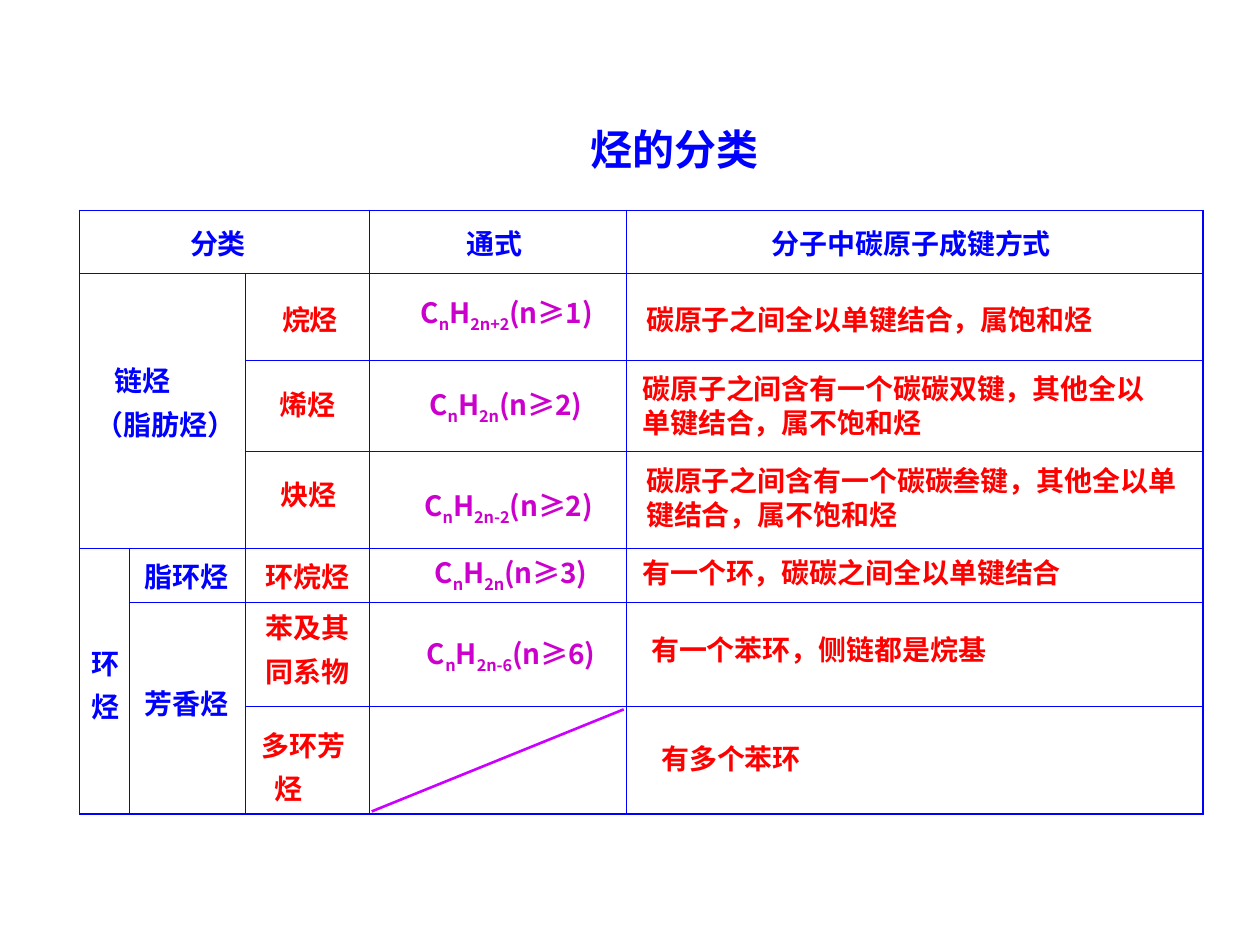
from itertools import accumulate

from lxml import etree
from pptx import Presentation
from pptx.dml.color import RGBColor
from pptx.enum.shapes import MSO_CONNECTOR
from pptx.enum.text import MSO_ANCHOR, MSO_AUTO_SIZE, PP_ALIGN
from pptx.oxml.ns import qn
from pptx.util import Inches, Pt

STRAIGHT = MSO_CONNECTOR.STRAIGHT
MIDDLE = MSO_ANCHOR.MIDDLE
GROW = MSO_AUTO_SIZE.SHAPE_TO_FIT_TEXT
LEFT, CENTER = PP_ALIGN.LEFT, PP_ALIGN.CENTER

BLUE = RGBColor(0x00, 0x00, 0xFF)
RED = RGBColor(0xFF, 0x00, 0x00)
PURPLE = RGBColor(0xCC, 0x00, 0xCC)
VIOLET = RGBColor(0xCC, 0x00, 0xFF)
FONT = "Noto Sans CJK SC"
THICK, THIN = 1.08, 0.45

# Table grid, in inches
TABLE_LEFT, TABLE_TOP = 0.63, 1.67
COLUMNS = [0.4, 0.92, 0.98, 2.04, 4.58]
ROWS = [0.5, 0.69, 0.72, 0.77, 0.43, 0.83, 0.85]
X = list(accumulate(COLUMNS, initial=TABLE_LEFT))
Y = list(accumulate(ROWS, initial=TABLE_TOP))
SPANS = {(0, 0): (1, 3), (1, 0): (3, 2), (4, 0): (3, 1), (5, 1): (2, 1)}

TITLE = "烃的分类"
# column: text, space before in points, extra right margin
HEADERS = {
    0: ("分类", 4, 0.1),
    3: ("通式", 4, 0.05),
    4: ("分子中碳原子成键方式", 0, 0.05),
}

# Each label: row, column, offset from the cell corner, width, lines, line spacing.
# A line may be (text, indent); underscores enclose a subscript.
GROUPS = [
    (1, 0, 0.03, 0.59, 1.4, [("链烃", 0.15), "（脂肪烃）"], 1.3),
    (4, 0, 0, 0.65, 0.54, ["环", "烃"], 1.3),
    (4, 1, 0.02, -0.04, 0.98, ["脂环烃"], 1.3),
    (5, 1, 0.02, 0.54, 0.91, ["芳香烃"], 1.3),
]
KINDS = [
    (1, 2, 0.19, 0.1, 0.91, ["烷烃"], 1.3),
    (2, 2, 0.17, 0.17, 0.8, ["烯烃"], 1),
    (3, 2, 0.18, 0.16, 0.79, ["炔烃"], 1),
    (4, 2, 0.06, -0.04, 0.88, ["环烷烃"], 1.3),
    (5, 2, 0.06, -0.06, 1.01, ["苯及其", "同系物"], 1.3),
    (6, 2, 0.03, 0.04, 0.91, ["多环芳", ("烃", 0.1)], 1.3),
]
FORMULAS = [
    (1, 3, 0.31, 0.13, 1.62, ["C_n_H_2n+2_(n≥1)"], 1),
    (2, 3, 0.38, 0.17, 1.47, ["C_n_H_2n_(n≥2)"], 1),
    (3, 3, 0.34, 0.16, 1.6, ["C_n_H_2n-2_(n≥2)"], 1.3),
    (4, 3, 0.42, 0.01, 1.47, ["C_n_H_2n_(n≥3)"], 1),
    (5, 3, 0.36, 0.22, 1.61, ["C_n_H_2n-6_(n≥6)"], 1),
]
BONDS = [
    (1, 4, 0.06, 0.18, 4.11, ["碳原子之间全以单键结合，属饱和烃"], 1),
    (2, 4, 0.03, 0.04, 4.27,
     ["碳原子之间含有一个碳碳双键，其他全以单键结合，属不饱和烃"], 1),
    (3, 4, 0.06, 0.05, 4.56,
     ["碳原子之间含有一个碳碳叁键，其他全以单键结合，属不饱和烃"], 1),
    (4, 4, 0.03, 0.01, 3.89, ["有一个环，碳碳之间全以单键结合"], 1),
    (5, 4, 0.1, 0.19, 4.03, ["有一个苯环，侧链都是烷基"], 1),
    (6, 4, 0.18, 0.23, 3.06, ["有多个苯环"], 1),
]


def write(frame, lines, color, size=16, spacing=1, align=LEFT, before=0):
    """Fill a text frame with lines, setting subscripts and indents."""
    for number, line in enumerate(lines):
        text, indent = line if isinstance(line, tuple) else (line, 0)
        para = frame.paragraphs[0] if number == 0 else frame.add_paragraph()
        para.alignment = align
        para.line_spacing = spacing
        para.space_before = Pt(before)
        if indent:
            para._p.get_or_add_pPr().set("marL", str(Inches(indent)))
        for position, part in enumerate(text.split("_")):
            span = para.add_run()
            span.text = part
            span.font.size = Pt(size)
            span.font.bold = True
            span.font.name = FONT
            span.font.color.rgb = color
            properties = span._r.get_or_add_rPr()
            etree.SubElement(properties, qn("a:ea"), typeface=FONT)
            if position % 2:
                properties.set("baseline", "-25000")


def add_text(page, left, top, width, height, lines, color, **style):
    box = page.shapes.add_textbox(*map(Inches, (left, top, width, height)))
    box.text_frame.word_wrap = True
    box.text_frame.auto_size = GROW
    write(box.text_frame, lines, color, **style)


def set_borders(cell, widths):
    properties = cell._tc.get_or_add_tcPr()
    for place, (side, width) in enumerate(widths.items()):
        line = etree.Element(qn(f"a:ln{side}"), w=str(Pt(width)))
        fill = etree.SubElement(line, qn("a:solidFill"))
        etree.SubElement(fill, qn("a:srgbClr"), val=str(BLUE))
        properties.insert(place, line)


def add_grid(page):
    row_count, column_count = len(ROWS), len(COLUMNS)
    frame = page.shapes.add_table(
        row_count, column_count, Inches(TABLE_LEFT), Inches(TABLE_TOP),
        Inches(sum(COLUMNS)), Inches(sum(ROWS)))
    table = frame.table
    table.first_row = table.horz_banding = False
    for column, width in zip(table.columns, COLUMNS):
        column.width = Inches(width)
    for row, height in zip(table.rows, ROWS):
        row.height = Inches(height)
    for (r, c), (down, across) in SPANS.items():
        table.cell(r, c).merge(table.cell(r + down - 1, c + across - 1))

    for r in range(row_count):
        for c in range(column_count):
            cell = table.cell(r, c)
            cell.fill.background()
            cell.margin_top = cell.margin_bottom = 0
            if cell.is_spanned:
                continue
            down, across = SPANS.get((r, c), (1, 1))
            outer = {"L": c == 0, "R": c + across == column_count,
                     "T": r == 0, "B": r + down == row_count}
            set_borders(cell, {side: THICK if edge else THIN
                               for side, edge in outer.items()})

    for c, (text, before, extra) in HEADERS.items():
        cell = table.cell(0, c)
        cell.vertical_anchor = MIDDLE
        cell.margin_top = cell.margin_bottom = Inches(0.05)
        cell.margin_right = Inches(0.1 + extra)
        write(cell.text_frame, [text], BLUE, align=CENTER, before=before)


def add_diagonal(page, row, column, inset=0.02):
    line = page.shapes.add_connector(
        STRAIGHT, Inches(X[column] + inset), Inches(Y[row + 1] - inset),
        Inches(X[column + 1] - inset), Inches(Y[row] + inset))
    line.line.color.rgb = VIOLET
    line.line.width = Pt(1.5)
    etree.SubElement(line._element.spPr, qn("a:effectLst"))


def main():
    deck = Presentation()
    deck.slide_width, deck.slide_height = Inches(10), Inches(7.5)
    page = deck.slides.add_slide(deck.slide_layouts[6])

    # Title and table
    add_text(page, 4.59, 0.93, 1.77, 0.5, [TITLE], BLUE, size=24)
    add_grid(page)

    # Labels over the cells
    for labels, color in ((GROUPS, BLUE), (KINDS, RED),
                          (FORMULAS, PURPLE), (BONDS, RED)):
        for row, column, right, down, width, lines, spacing in labels:
            # A long line takes two rows of text
            count = 2 if len(lines[0]) > 20 else len(lines)
            height = 0.1 + 0.27 * spacing * count
            add_text(page, X[column] + right, Y[row] + down, width, height,
                     lines, color, spacing=spacing)

    # Stroke through the cell without a formula
    add_diagonal(page, 6, 3)
    deck.save("out.pptx")


if __name__ == "__main__":
    main()
